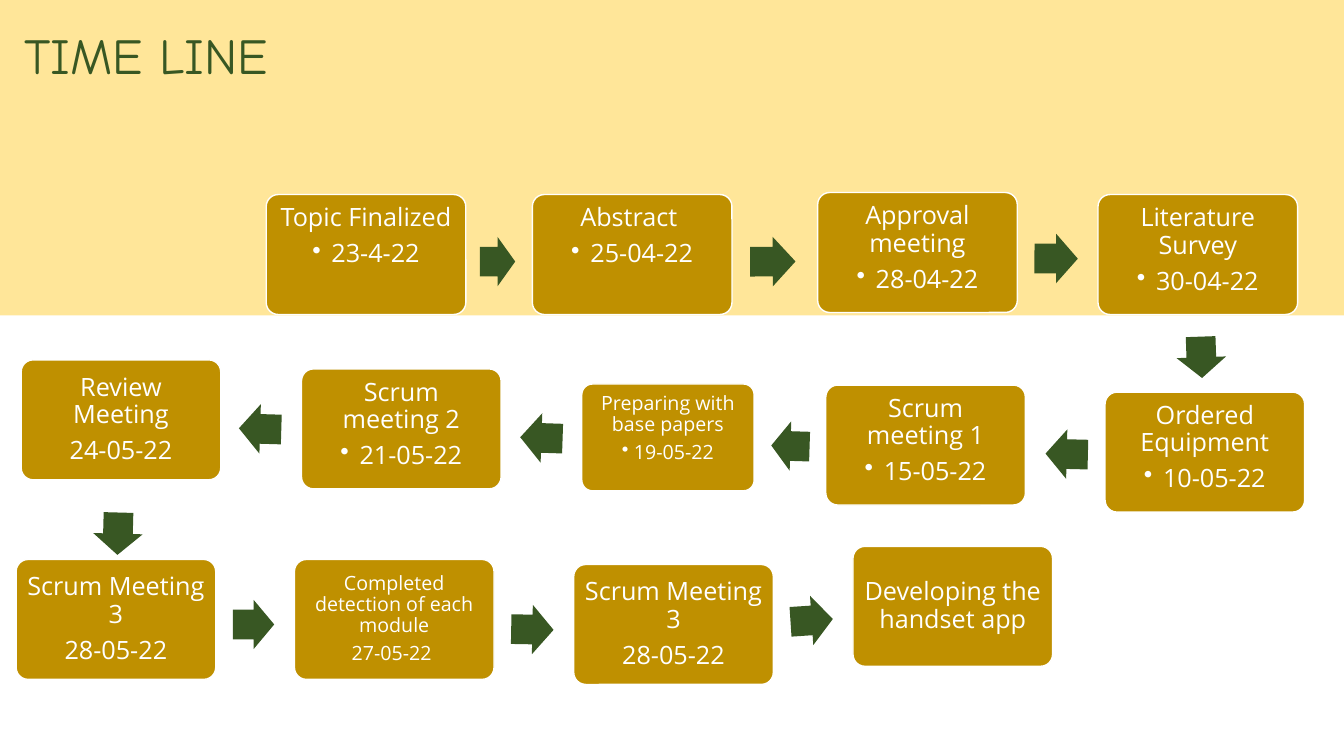
from dataclasses import dataclass

from lxml.etree import SubElement
from pptx import Presentation
from pptx.dml.color import RGBColor
from pptx.enum.shapes import MSO_SHAPE as Preset
from pptx.enum.text import MSO_ANCHOR as Anchor, MSO_AUTO_SIZE as AutoSize, PP_ALIGN as Align
from pptx.oxml.ns import qn
from pptx.shapes.autoshape import Shape
from pptx.slide import Slide
from pptx.text.text import TextFrame
from pptx.util import Inches, Pt

COLORS = {"band": "FFE699", "box": "BF9000", "green": "385723", "white": "FFFFFF"}
ARROW_HEIGHT = 0.49


@dataclass
class Milestone:
    left: float
    top: float
    heading: str
    date: str = ""
    bulleted: bool = False
    size: int = 18
    indent: float = 0.19
    inset: float = 0.07
    side_inset: float = 0.07
    width: float = 1.98
    height: float = 1.19


@dataclass
class Arrow:
    left: float
    top: float
    width: float = 0.42
    rotation: float = 0


MILESTONES = [
    Milestone(2.64, 1.93, "Topic Finalized", "23-4-22", True),
    Milestone(5.28, 1.93, "Abstract ", "25-04-22", True),
    Milestone(8.11, 1.91, "Approval meeting", "28-04-22", True),
    Milestone(10.89, 1.93, "Literature Survey", "30-04-22", True),
    Milestone(10.96, 3.89, "Ordered Equipment", "10-05-22", True),
    Milestone(8.19, 3.82, "Scrum meeting 1", "15-05-22", True, side_inset=0.08),
    Milestone(5.77, 3.81, "Preparing with base papers", "19-05-22", True,
              size=14, indent=0.12, inset=0.06, side_inset=0.06, width=1.71, height=1.06),
    Milestone(2.99, 3.66, "Scrum meeting 2", "21-05-22", True, side_inset=0.08),
    Milestone(0.21, 3.57, "Review Meeting", "24-05-22"),
    Milestone(0.16, 5.55, "Scrum Meeting 3", "28-05-22"),
    Milestone(2.92, 5.55, "Completed detection of each module", "27-05-22 ",
              size=14, inset=0.06, side_inset=0.06),
    Milestone(5.69, 5.6, "Scrum Meeting 3", "28-05-22"),
    Milestone(8.46, 5.42, "Developing the handset app"),
]

ARROWS = [
    Arrow(4.76, 2.35, 0.35),
    Arrow(7.44, 2.35, 0.45, 359.7),
    Arrow(10.26, 2.32, 0.43, 0.3),
    Arrow(11.71, 3.3, 0.41, 88),
    Arrow(10.37, 4.26, rotation=181.4),
    Arrow(7.65, 4.18, 0.38, 181.8),
    Arrow(5.16, 4.1, rotation=181.9),
    Arrow(2.37, 4.01, rotation=181.7),
    Arrow(0.96, 5.05, rotation=91.5),
    Arrow(2.31, 5.95, 0.41),
    Arrow(5.07, 6, rotation=1.1),
    Arrow(7.84, 5.91, rotation=356.2),
]


def add_preset(page: Slide, preset: Preset, left: float, top: float, width: float,
               height: float, fill: str, line: str = "") -> Shape:
    shape = page.shapes.add_shape(
        preset, Inches(left), Inches(top), Inches(width), Inches(height))
    shape.shadow.inherit = False
    shape.fill.solid()
    shape.fill.fore_color.rgb = RGBColor.from_string(COLORS[fill])
    if line:
        shape.line.color.rgb = RGBColor.from_string(COLORS[line])
        shape.line.width = Pt(1)
    else:
        shape.line.fill.background()
    return shape


def write_text(frame: TextFrame, text: str, *, size: float, font: str = "Open Sans",
               color: str = "white", align: Align = Align.CENTER,
               line_spacing: float = 0.9, space_after: float = 0,
               bullet_indent: float = 0) -> None:
    para = frame.paragraphs[0] if not frame.text else frame.add_paragraph()
    para.alignment = align
    para.line_spacing = line_spacing
    para.space_after = Pt(space_after)
    span = para.add_run()
    span.text = text
    span.font.name = font
    span.font.size = Pt(size)
    span.font.color.rgb = RGBColor.from_string(COLORS[color])
    if bullet_indent:
        para.level = 1
        properties = para._p.get_or_add_pPr()
        properties.set("marL", str(Inches(bullet_indent)))
        properties.set("indent", str(-Inches(bullet_indent)))
        SubElement(properties, qn("a:buChar"), char="•")


def draw_milestone(page: Slide, item: Milestone) -> None:
    box = add_preset(page, Preset.ROUNDED_RECTANGLE, item.left, item.top,
                     item.width, item.height, "box", "white")
    box.adjustments[0] = 0.1
    frame = box.text_frame
    frame.word_wrap = True
    frame.vertical_anchor = Anchor.TOP if item.bulleted else Anchor.MIDDLE
    frame.margin_left = frame.margin_right = Inches(item.side_inset)
    frame.margin_top = frame.margin_bottom = Inches(item.inset)
    write_text(frame, item.heading, size=item.size, space_after=0.35 * item.size)
    if item.date:
        write_text(frame, item.date, size=item.size,
                   bullet_indent=item.indent if item.bulleted else 0)


def draw_arrow(page: Slide, item: Arrow) -> None:
    arrow = add_preset(page, Preset.RIGHT_ARROW, item.left, item.top,
                       item.width, ARROW_HEIGHT, "green")
    arrow.adjustments[0] = 0.6
    arrow.adjustments[1] = 0.5
    arrow.rotation = item.rotation


def draw_title(page: Slide) -> None:
    box = page.shapes.add_textbox(Inches(0.14), Inches(0.19), Inches(3.18), Inches(0.71))
    frame = box.text_frame
    frame.word_wrap = True
    frame.auto_size = AutoSize.SHAPE_TO_FIT_TEXT
    write_text(frame, "TIME LINE", size=36, font="Comic Neue", color="green",
               align=Align.LEFT, line_spacing=1.0)


def main() -> None:
    deck = Presentation()
    deck.slide_width, deck.slide_height = Inches(13.33), Inches(7.5)
    page = deck.slides.add_slide(deck.slide_layouts[6])
    add_preset(page, Preset.RECTANGLE, 0, -0.4, 13.33, 3.53, "band")
    for milestone in MILESTONES:
        draw_milestone(page, milestone)
    for arrow in ARROWS:
        draw_arrow(page, arrow)
    draw_title(page)
    deck.save("out.pptx")


if __name__ == "__main__":
    main()
